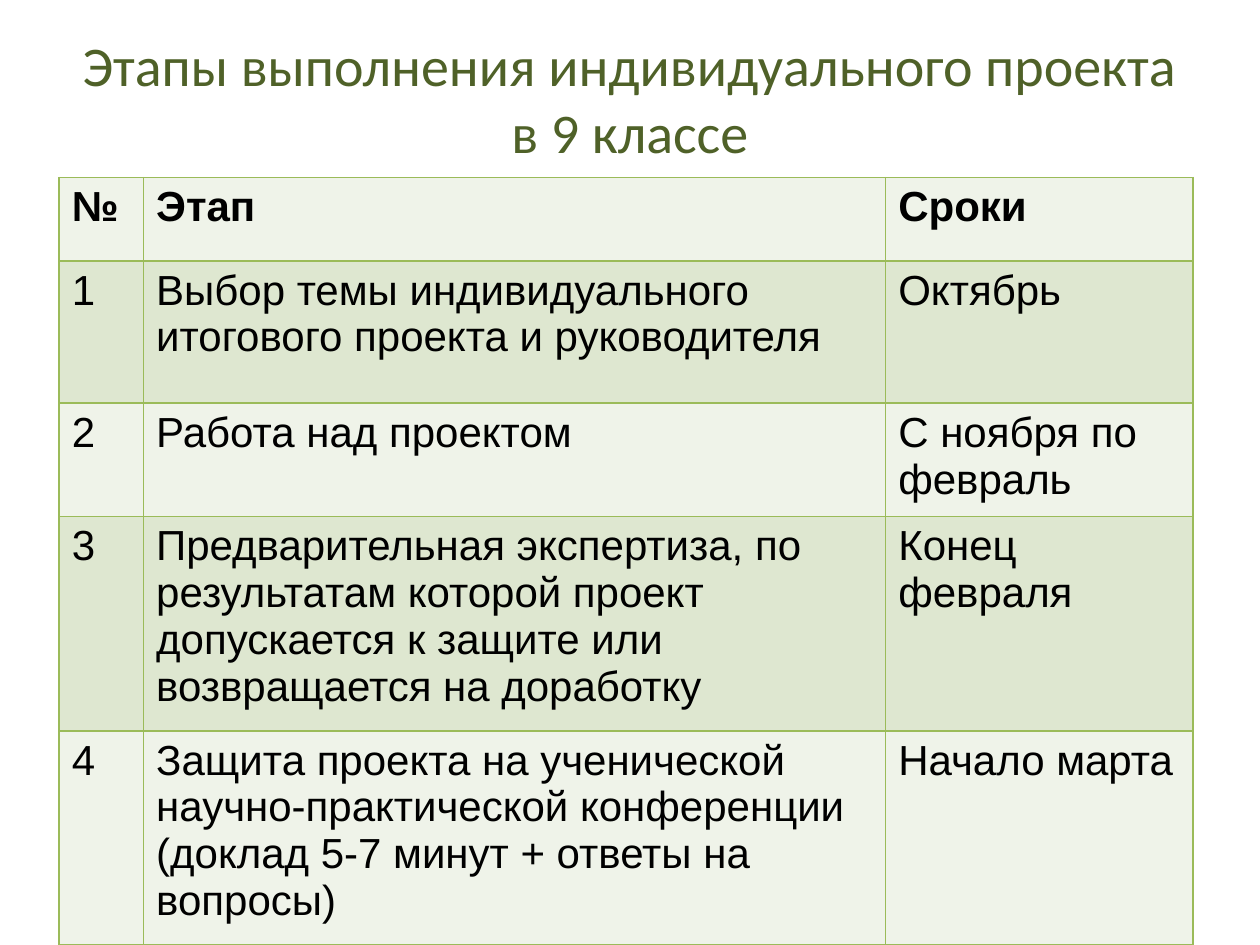
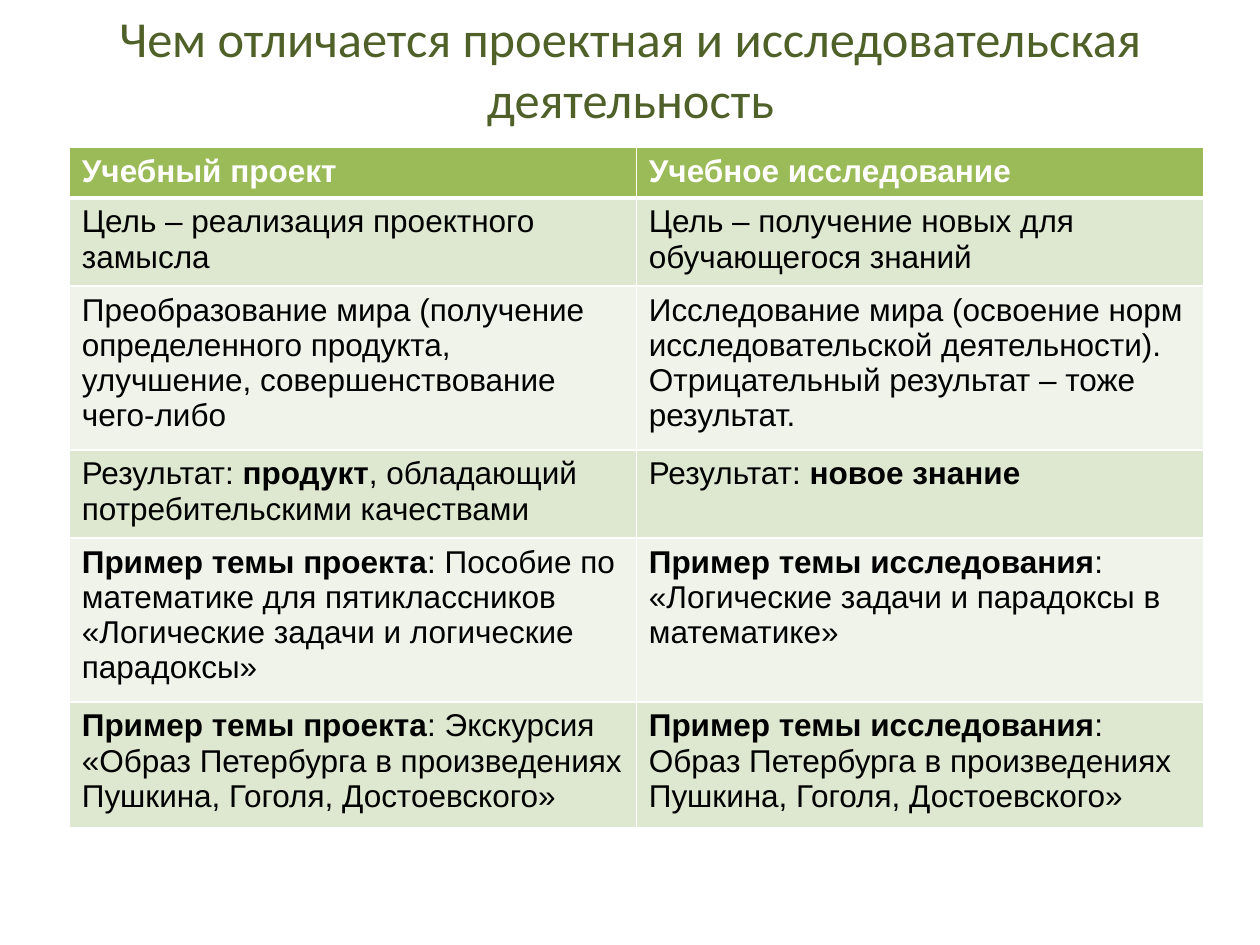
from lxml import etree
from pptx import Presentation
from pptx.dml.color import RGBColor
from pptx.enum.text import MSO_ANCHOR, PP_ALIGN
from pptx.oxml.ns import qn
from pptx.util import Inches, Pt

MIDDLE = MSO_ANCHOR.MIDDLE
CENTER = PP_ALIGN.CENTER

TITLE_FONT, TABLE_FONT = "Calibri", "Arial"
OLIVE, GREEN, BLACK, WHITE = "4F6128", "9BBB59", "000000", "FFFFFF"
PALE, LIGHT = "EFF3E9", "DEE7D0"

STAGES = [
    ["**№**", "**Этап**", "**Сроки**"],
    ["1", "Выбор темы индивидуального итогового проекта и руководителя", "Октябрь"],
    ["2", "Работа над проектом", "С ноября по февраль"],
    ["3", "Предварительная экспертиза, по результатам которой проект "
          "допускается к защите или возвращается на доработку", "Конец февраля"],
    ["4", "Защита проекта на ученической научно-практической конференции "
          "(доклад 5-7 минут + ответы на вопросы)", "Начало марта"],
]

COMPARISON = [
    ["**Учебный проект**", "**Учебное исследование**"],
    ["Цель – реализация проектного замысла",
     "Цель – получение новых для обучающегося знаний"],
    ["Преобразование мира (получение определенного продукта, улучшение, "
     "совершенствование чего-либо",
     "Исследование мира (освоение норм исследовательской деятельности). "
     "Отрицательный результат – тоже результат."],
    ["Результат: **продукт**, обладающий потребительскими качествами",
     "Результат: **новое знание**"],
    ["**Пример темы проекта**: Пособие по математике для пятиклассников "
     "«Логические задачи и логические парадоксы»",
     "**Пример темы исследования**: «Логические задачи и парадоксы в математике»"],
    ["**Пример темы проекта**: Экскурсия «Образ Петербурга в произведениях "
     "Пушкина, Гоголя, Достоевского»",
     "**Пример темы исследования**: Образ Петербурга в произведениях "
     "Пушкина, Гоголя, Достоевского»"],
]


def color(value):
    return RGBColor.from_string(value)


def add_runs(paragraph, marked_text, font, size, font_color):
    for index, text in enumerate(marked_text.split("**")):
        if text:
            run = paragraph.add_run()
            run.text = text
            run.font.name = font
            run.font.size = Pt(size)
            run.font.bold = index % 2 == 1
            run.font.color.rgb = color(font_color)


def add_title(slide, text, left, width, height, size):
    box = slide.shapes.add_textbox(Inches(left), Inches(0.3), Inches(width), Inches(height))
    frame = box.text_frame
    frame.word_wrap = True
    frame.vertical_anchor = MIDDLE
    paragraph = frame.paragraphs[0]
    paragraph.alignment = CENTER
    add_runs(paragraph, text, TITLE_FONT, size, OLIVE)


def add_borders(cell, line_color, top, bottom):
    properties = cell._tc.get_or_add_tcPr()
    edges = [("a:lnL", 1), ("a:lnR", 1), ("a:lnT", top), ("a:lnB", bottom)]
    for position, (tag, width) in enumerate(edges):
        line = etree.Element(qn(tag), w=str(Pt(width)))
        fill = etree.SubElement(line, qn("a:solidFill"))
        etree.SubElement(fill, qn("a:srgbClr"), val=line_color)
        properties.insert(position, line)


def add_grid(slide, rows, left, top, columns, heights, size, line_color,
             header_fill, header_color, header_line):
    shape = slide.shapes.add_table(len(rows), len(columns), Inches(left), Inches(top),
                                   Inches(sum(columns)), Inches(sum(heights)))
    table = shape.table
    table.first_row = table.horz_banding = False
    for column, width in zip(table.columns, columns):
        column.width = Inches(width)
    for row, height in zip(table.rows, heights):
        row.height = Inches(height)
    for row_index, texts in enumerate(rows):
        header = row_index == 0
        band = LIGHT if row_index % 2 else PALE
        for column_index, text in enumerate(texts):
            cell = table.cell(row_index, column_index)
            cell.fill.solid()
            cell.fill.fore_color.rgb = color(header_fill if header else band)
            add_borders(cell, line_color, header_line if row_index == 1 else 1,
                        header_line if header else 1)
            add_runs(cell.text_frame.paragraphs[0], text, TABLE_FONT, size,
                     header_color if header else BLACK)


def add_stages_slide(slide):
    add_title(slide, "Этапы выполнения индивидуального проекта в 9 классе",
              0.5, 9, 0.95, 32)
    add_grid(slide, STAGES, 0.47, 1.41, [0.67, 5.89, 2.44],
             [0.66, 1.13, 0.85, 1.62, 1.59], 24, GREEN, PALE, BLACK, 1)


def add_comparison_slide(slide):
    add_title(slide, "Чем отличается проектная и исследовательская деятельность",
              0.16, 9.69, 0.48, 28.8)
    add_grid(slide, COMPARISON, 0.55, 1.17, [4.5] * 2,
             [0.4, 0.66, 1.22, 0.66, 1.22, 0.94], 18, WHITE, GREEN, WHITE, 3)


def main():
    presentation = Presentation()
    presentation.slide_width = Inches(10)
    presentation.slide_height = Inches(7.5)
    blank = presentation.slide_layouts[6]
    for build in (add_stages_slide, add_comparison_slide):
        build(presentation.slides.add_slide(blank))
    presentation.save("out.pptx")


main()
